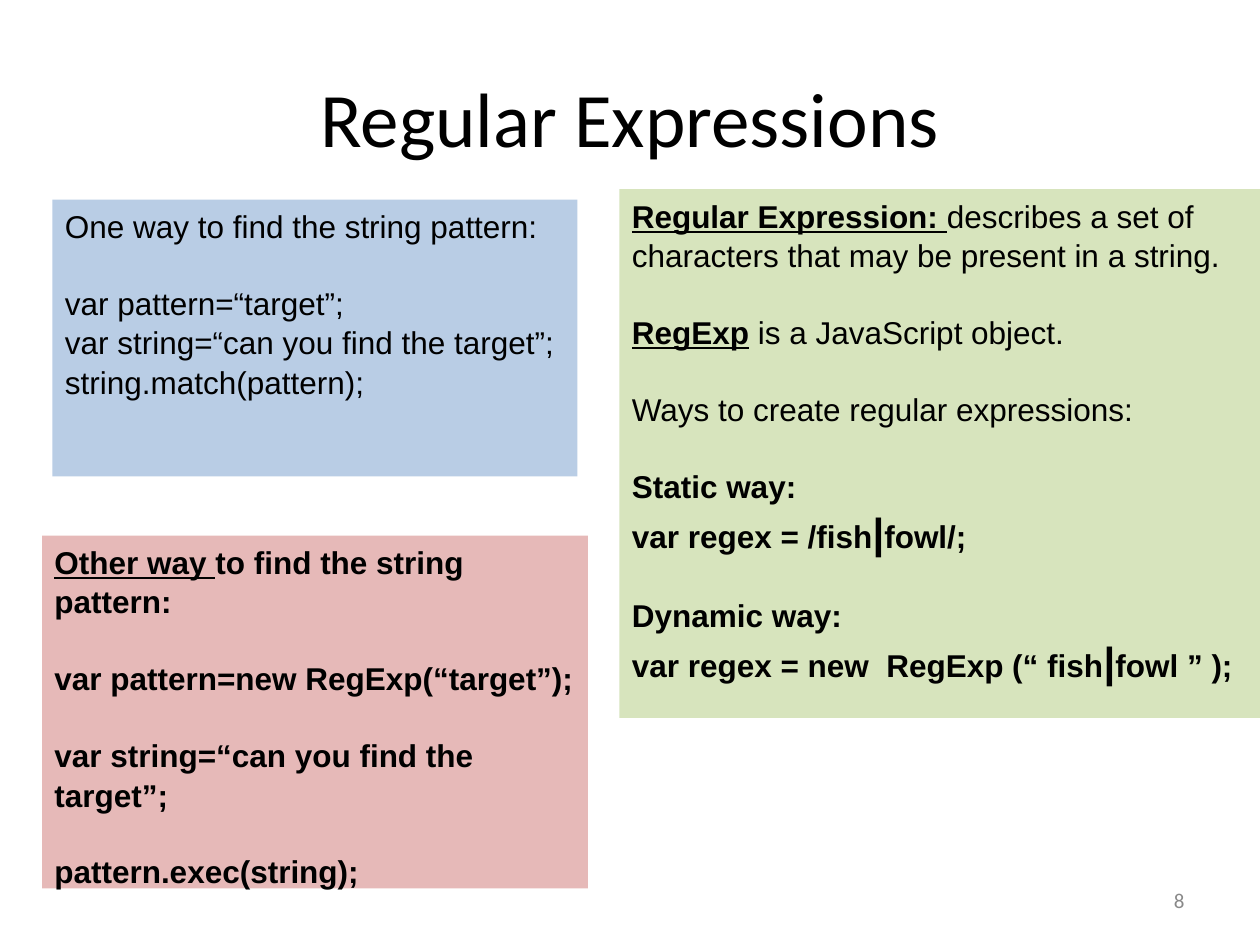
from pptx import Presentation
from pptx import util as u
from pptx.dml.color import RGBColor
from pptx.enum import shapes, text

PX = 9525  # EMU per px, 96 px to the inch
SLIDE_SIZE = (960, 720)
BLACK, GREY = "000000", "898989"
BLANK_LINE = 21.5  # points

# Text box: (left, top, width, height), wording, font size, colour, alignment
LABELS = [
    ((48, 29, 864, 120), "Regular Expressions", 44, BLACK, text.PP_ALIGN.CENTER),
    ((688, 667, 224, 38), "8", 12, GREY, text.PP_ALIGN.RIGHT),
]

# Panel: (left, top, width, height), fill, groups of lines a blank line apart.
# A line is a list of (wording, style): b bold, u underlined, + larger.
PANELS = [
    ((40, 152, 400, 211), "B9CDE5", [
        [[("One way to find the string pattern:", "")]],
        [[("var pattern=“target”;", "")],
         [("var string=“can you find the target”;", "")],
         [("string.match(pattern);", "")]],
    ]),
    ((32, 408, 416, 269), "E6B9B8", [
        [[("Other way ", "bu"), ("to find the string pattern:", "b")]],
        [[("var pattern=new RegExp(“target”);", "b")]],
        [[("var string=“can you find the target”;", "b")]],
        [[("pattern.exec(string);", "b")]],
    ]),
    ((472, 144, 488, 403), "D7E4BD", [
        [[("Regular Expression: ", "bu"),
          ("describes a set of characters that may be present in a string.", "")]],
        [[("RegExp", "bu"), (" is a JavaScript object.", "")]],
        [[("Ways to create regular expressions:", "")]],
        [[("Static way:", "b")],
         [("var regex = /fish", "b"), ("|", "b+"), ("fowl/;", "b")]],
        [[("Dynamic way:", "b")],
         [("var regex = new  RegExp (“ fish", "b"), ("|", "b+"), ("fowl ” );", "b")]],
    ]),
]


def color(value):
    return RGBColor.from_string(value)


def emu(lengths):
    return [length * PX for length in lengths]


def set_font(paragraph, name, size, value):
    paragraph.font.name = name
    paragraph.font.size = u.Pt(size)
    paragraph.font.color.rgb = color(value)


def add_label(slide, box, wording, size, value, alignment):
    frame = slide.shapes.add_textbox(*emu(box)).text_frame
    frame.word_wrap = True
    frame.vertical_anchor = text.MSO_ANCHOR.MIDDLE
    paragraph = frame.paragraphs[0]
    paragraph.text = wording
    paragraph.alignment = alignment
    set_font(paragraph, "Calibri", size, value)


def add_line(paragraph, runs):
    paragraph.alignment = text.PP_ALIGN.LEFT
    paragraph.line_spacing = 1.04
    set_font(paragraph, "Arial", 18, BLACK)
    for wording, style in runs:
        run = paragraph.add_run()
        run.text = wording
        run.font.bold = "b" in style
        run.font.underline = "u" in style
        if "+" in style:
            run.font.size = u.Pt(24)


def add_panel(slide, box, fill, groups):
    shape = slide.shapes.add_shape(shapes.MSO_SHAPE.RECTANGLE, *emu(box))
    shape.shadow.inherit = False
    shape.fill.solid()
    shape.fill.fore_color.rgb = color(fill)
    shape.line.fill.background()
    frame = shape.text_frame
    frame.word_wrap = True
    frame.vertical_anchor = text.MSO_ANCHOR.TOP
    paragraph = None
    for group in groups:
        for index, runs in enumerate(group):
            if paragraph is None:
                paragraph = frame.paragraphs[0]
            else:
                paragraph = frame.add_paragraph()
                paragraph.space_before = u.Pt(0 if index else BLANK_LINE)
            add_line(paragraph, runs)


def main():
    presentation = Presentation()
    presentation.slide_width, presentation.slide_height = emu(SLIDE_SIZE)
    slide = presentation.slides.add_slide(presentation.slide_layouts[6])
    for panel in PANELS:
        add_panel(slide, *panel)
    for label in LABELS:
        add_label(slide, *label)
    presentation.save("out.pptx")


if __name__ == "__main__":
    main()
